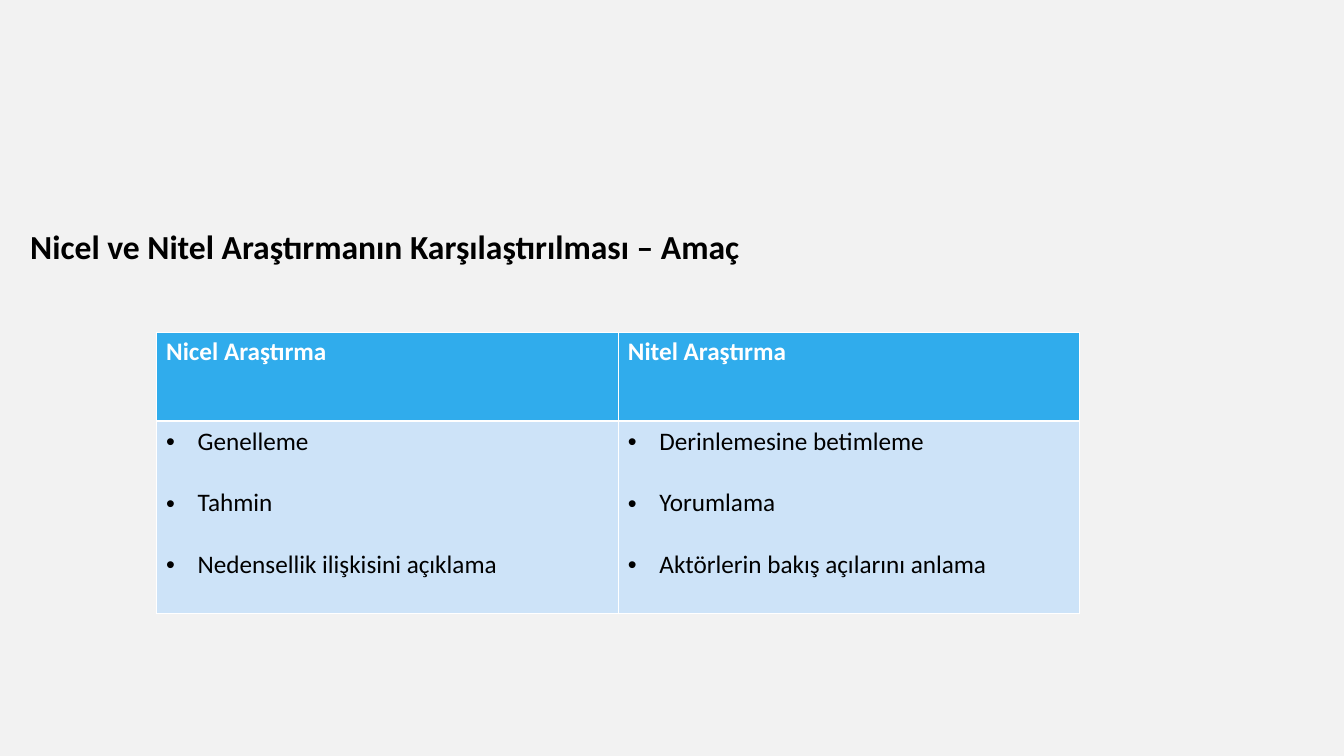
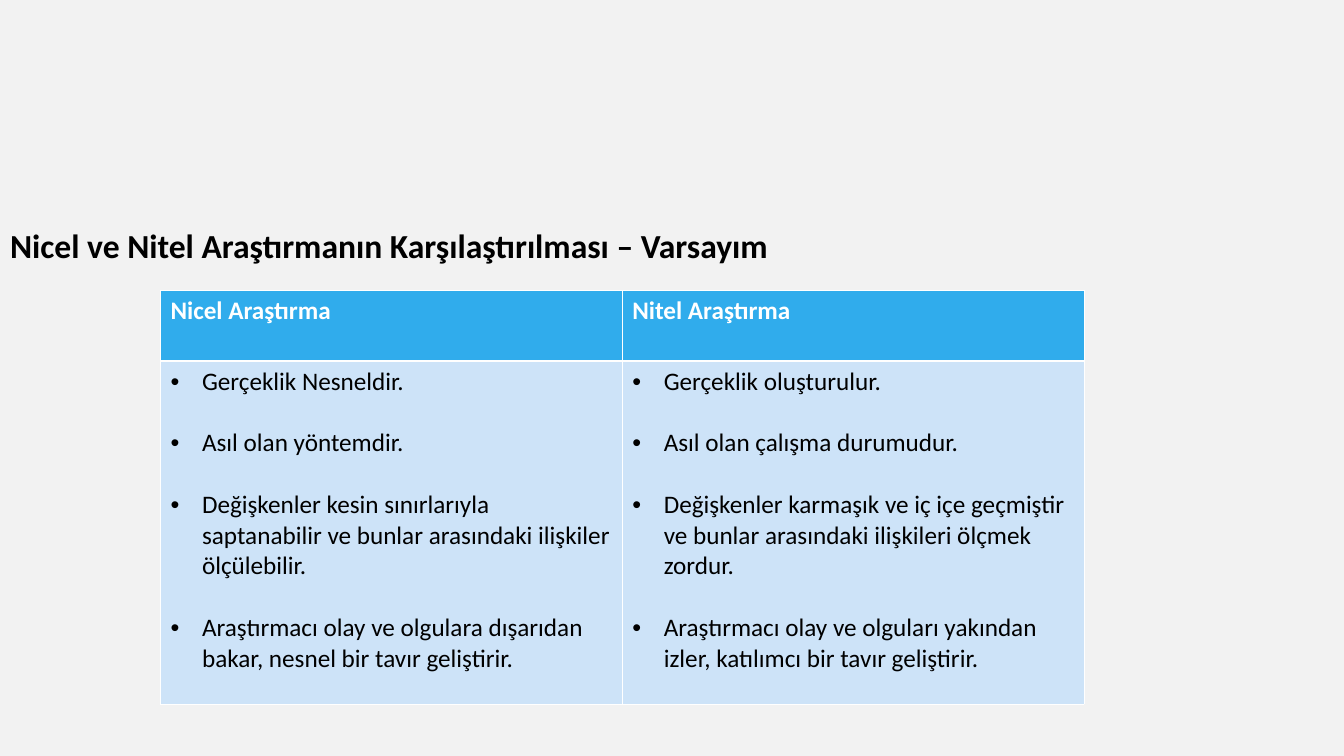
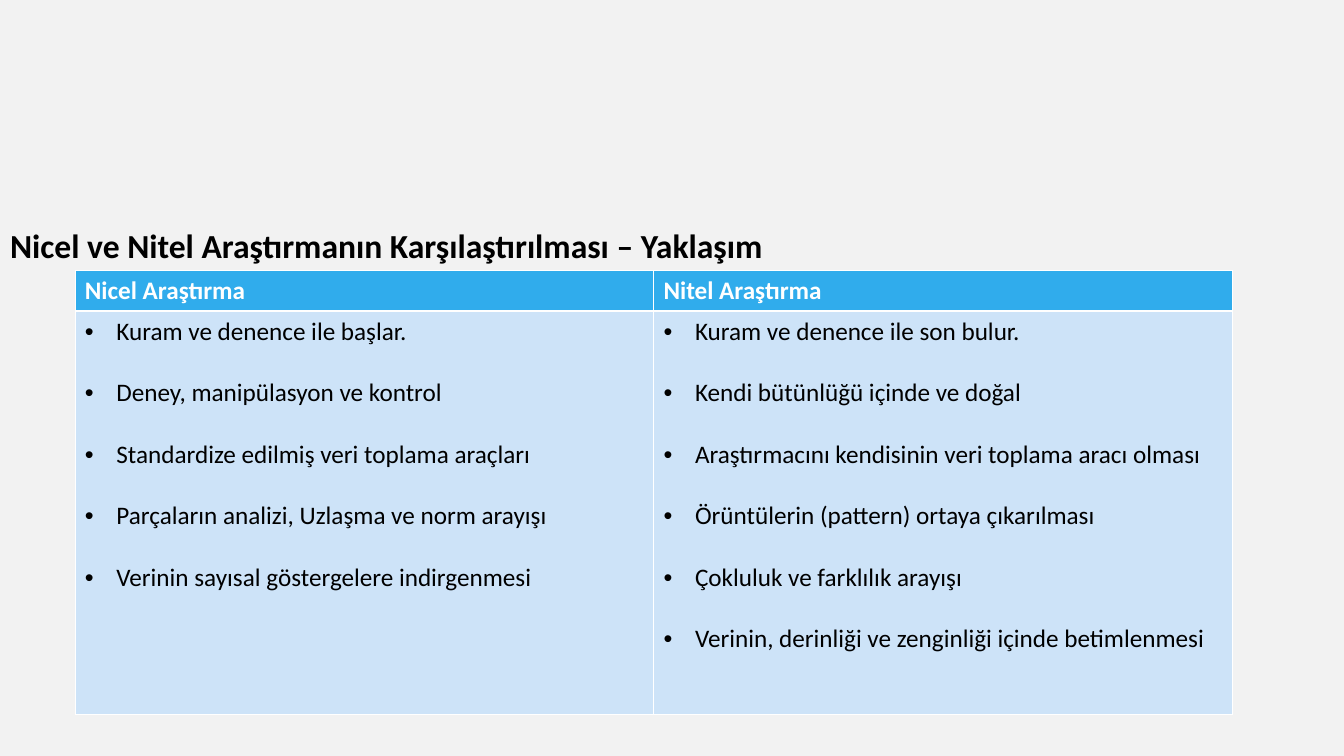
from lxml.etree import SubElement
from pptx import Presentation
from pptx.dml.color import RGBColor
from pptx.enum.text import MSO_ANCHOR as Anchor, MSO_AUTO_SIZE as AutoSize, PP_ALIGN as Align
from pptx.oxml.ns import qn
from pptx.util import Pt

GREY = RGBColor(0xF2, 0xF2, 0xF2)
BLUE = RGBColor(0x30, 0xAC, 0xEC)
PALE = RGBColor(0xCD, 0xE3, 0xF8)
WHITE = RGBColor(0xFF, 0xFF, 0xFF)
BLACK = RGBColor(0, 0, 0)
FONT = "Calibri"
THIN, THICK = 0.45, 1.47
INDENT = 22.5
GAP = 22
HEADINGS = ("Nicel Araştırma", "Nitel Araştırma")
TITLE = "Nicel ve Nitel Araştırmanın Karşılaştırılması – "

SLIDES = [
    dict(
        topic="Amaç", title_at=(14.4, 157.7), table_at=(111.6, 237),
        col=330, rows=(64, 137),
        lists=(
            ["Genelleme", "Tahmin", "Nedensellik ilişkisini açıklama"],
            ["Derinlemesine betimleme", "Yorumlama",
             "Aktörlerin bakış açılarını anlama"],
        ),
    ),
    dict(
        topic="Varsayım", title_at=(0, 157), table_at=(114.7, 207.5),
        col=330, rows=(50.5, 245),
        lists=(
            ["Gerçeklik Nesneldir.",
             "Asıl olan yöntemdir.",
             "Değişkenler kesin sınırlarıyla saptanabilir ve bunlar "
             "arasındaki ilişkiler ölçülebilir.",
             "Araştırmacı olay ve olgulara dışarıdan bakar, nesnel bir "
             "tavır geliştirir."],
            ["Gerçeklik oluşturulur.",
             "Asıl olan çalışma durumudur.",
             "Değişkenler karmaşık ve iç içe geçmiştir ve bunlar "
             "arasındaki ilişkileri ölçmek zordur.",
             "Araştırmacı olay ve olguları yakından izler, katılımcı bir "
             "tavır geliştirir."],
        ),
    ),
    dict(
        topic="Yaklaşım", title_at=(0, 157), table_at=(53.5, 193),
        col=413.5, rows=(29, 288),
        lists=(
            ["Kuram ve denence ile başlar.",
             "Deney, manipülasyon ve kontrol",
             "Standardize edilmiş veri toplama araçları",
             "Parçaların analizi, Uzlaşma ve norm arayışı",
             "Verinin sayısal göstergelere indirgenmesi"],
            ["Kuram ve denence ile son bulur.",
             "Kendi bütünlüğü içinde ve doğal",
             "Araştırmacını kendisinin veri toplama aracı olması",
             "Örüntülerin (pattern) ortaya çıkarılması",
             "Çokluluk ve farklılık arayışı",
             "Verinin, derinliği ve zenginliği içinde betimlenmesi"],
        ),
    ),
]


def write(p, text, *, size=18, color=BLACK, bold=False, before=0, after=0, bullet=False):
    """Write one formatted run into a paragraph."""
    p.alignment = Align.LEFT
    p.space_before, p.space_after = Pt(before), Pt(after)
    r = p.add_run()
    r.text = text
    r.font.name, r.font.size, r.font.bold = FONT, Pt(size), bold
    r.font.color.rgb = color
    if bullet:
        pPr = p._p.get_or_add_pPr()
        pPr.set("marL", str(Pt(INDENT)))
        pPr.set("indent", str(-Pt(INDENT)))
        clr = SubElement(pPr, qn("a:buClr"))
        SubElement(clr, qn("a:srgbClr"), val=str(color))
        SubElement(pPr, qn("a:buFont"), typeface="Arial")
        SubElement(pPr, qn("a:buChar"), char="•")


class Deck:
    """Holds the shared style and the current slide."""

    def __init__(self):
        """Start an empty deck with a grey master background."""
        self.prs = Presentation()
        self.prs.slide_width, self.prs.slide_height = Pt(960.5), Pt(540)
        fill = self.prs.slide_master.background.fill
        fill.solid()
        fill.fore_color.rgb = GREY

    def slide(self):
        """Add a title-only slide."""
        self.s = self.prs.slides.add_slide(self.prs.slide_layouts[5])

    def title(self, text, x, y):
        """Place and format the title."""
        sp = self.s.shapes.title
        sp.left, sp.top, sp.width, sp.height = Pt(x), Pt(y), Pt(934), Pt(324)
        tf = sp.text_frame
        tf.vertical_anchor, tf.auto_size, tf.word_wrap = Anchor.TOP, AutoSize.NONE, True
        write(tf.paragraphs[0], text, size=24, bold=True, before=6, after=6)

    def cell(self, cell, fill, top, bottom):
        """Fill a cell and draw its white borders."""
        tcPr = cell._tc.get_or_add_tcPr()
        for side, width in zip("LRTB", (THIN, THIN, top, bottom)):
            ln = SubElement(tcPr, qn(f"a:ln{side}"), w=str(Pt(width)))
            solid = SubElement(ln, qn("a:solidFill"))
            SubElement(solid, qn("a:srgbClr"), val=str(WHITE))
        cell.fill.solid()
        cell.fill.fore_color.rgb = fill

    def table(self, lists, x, y, col, rows):
        """Add a comparison table with a heading and a bullet list per column."""
        tbl = self.s.shapes.add_table(
            len(rows), len(lists), Pt(x), Pt(y), Pt(col * len(lists)), Pt(sum(rows))).table
        for row, height in zip(tbl.rows, rows):
            row.height = Pt(height)
        for c, (heading, items) in enumerate(zip(HEADINGS, lists)):
            tbl.columns[c].width = Pt(col)
            head, body = tbl.cell(0, c), tbl.cell(1, c)
            self.cell(head, BLUE, THIN, THICK)
            self.cell(body, PALE, THICK, THIN)
            write(head.text_frame.paragraphs[0], heading, color=WHITE, bold=True)
            tf = body.text_frame
            for i, item in enumerate(items):
                p = tf.add_paragraph() if i else tf.paragraphs[0]
                write(p, item, before=GAP if i else 0, bullet=True)


def main():
    """Build and save the deck."""
    deck = Deck()
    for d in SLIDES:
        deck.slide()
        deck.title(TITLE + d["topic"], *d["title_at"])
        deck.table(d["lists"], *d["table_at"], d["col"], d["rows"])
    deck.prs.save("out.pptx")


if __name__ == "__main__":
    main()
